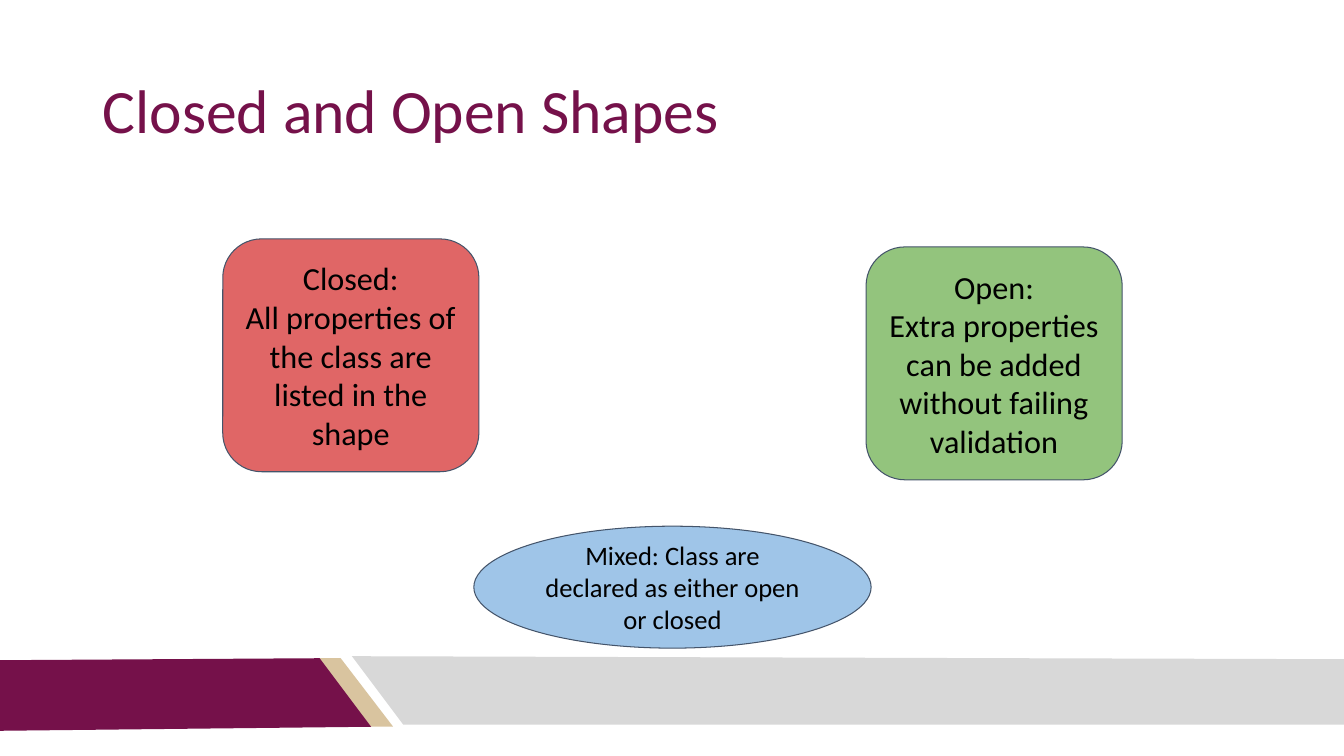
import pptx
import pptx.dml.color
import pptx.enum.shapes
import pptx.enum.text
import pptx.util

Inches = pptx.util.Inches
RGBColor = pptx.dml.color.RGBColor
MSO_SHAPE = pptx.enum.shapes.MSO_SHAPE
PP_ALIGN = pptx.enum.text.PP_ALIGN

MAROON = RGBColor(0x75, 0x11, 0x4A)
SAND = RGBColor(0xD9, 0xC4, 0x9F)
GREY = RGBColor(0xD8, 0xD8, 0xD8)
RED = RGBColor(0xE0, 0x66, 0x66)
GREEN = RGBColor(0x93, 0xC4, 0x7D)
BLUE = RGBColor(0x9F, 0xC5, 0xE8)
SLATE = RGBColor(0x44, 0x54, 0x6A)
BLACK = RGBColor(0, 0, 0)

FOOTER_BANDS = [
    (SAND, [(3.16, 6.53), (3.38, 6.53), (3.9, 7.21), (3.67, 7.21)]),
    (MAROON, [(-0.01, 6.55), (3.17, 6.53), (3.68, 7.21), (-0.01, 7.25)]),
    (GREY, [(3.49, 6.51), (13.34, 6.54), (13.37, 7.19), (4, 7.19)]),
]


def write_text(shape, *lines, size, color=BLACK, align=PP_ALIGN.CENTER, spacing=1.0):
    """Fill a shape with one vertically centred paragraph per line."""
    frame = shape.text_frame
    frame.word_wrap = True
    frame.vertical_anchor = pptx.enum.text.MSO_ANCHOR.MIDDLE
    frame.margin_left = frame.margin_right = Inches(0.1)
    frame.margin_top = frame.margin_bottom = Inches(0.1)
    frame.text = "\n".join(lines)
    for paragraph in frame.paragraphs:
        paragraph.alignment = align
        paragraph.line_spacing = spacing
        paragraph.font.name = "Calibri"
        paragraph.font.size = pptx.util.Pt(size)
        paragraph.font.color.rgb = color


def add_title(slide, title):
    heading = slide.shapes.add_textbox(
        Inches(0.92), Inches(0.4), Inches(11.5), Inches(1.45))
    write_text(heading, title, size=44, color=MAROON,
               align=PP_ALIGN.LEFT, spacing=0.9)


def add_footer_band(slide, color, corners):
    start, *others = [(Inches(x), Inches(y)) for x, y in corners]
    outline = slide.shapes.build_freeform(*start)
    outline.add_line_segments(others, close=True)
    band = outline.convert_to_shape()
    band.shadow.inherit = False
    band.fill.solid()
    band.fill.fore_color.rgb = color
    band.line.fill.background()


def add_concept(slide, preset, box, color, *lines, size):
    concept = slide.shapes.add_shape(preset, *map(Inches, box))
    concept.shadow.inherit = False
    concept.fill.solid()
    concept.fill.fore_color.rgb = color
    concept.line.color.rgb = SLATE
    concept.line.width = pptx.util.Pt(0.75)
    write_text(concept, *lines, size=size)


def main():
    deck = pptx.Presentation()
    deck.slide_width = Inches(13.33)
    deck.slide_height = Inches(7.5)
    slide = deck.slides.add_slide(deck.slide_layouts[6])

    for color, corners in FOOTER_BANDS:
        add_footer_band(slide, color, corners)
    add_title(slide, "Closed and Open Shapes")
    add_concept(slide, MSO_SHAPE.ROUNDED_RECTANGLE, (2.21, 2.37, 2.54, 2.31), RED,
                "Closed:", "All properties of the class are listed in the shape",
                size=23)
    add_concept(slide, MSO_SHAPE.ROUNDED_RECTANGLE, (8.59, 2.45, 2.54, 2.31), GREEN,
                "Open:", "Extra properties can be added without failing validation",
                size=23)
    add_concept(slide, MSO_SHAPE.OVAL, (4.7, 5.22, 3.94, 1.21), BLUE,
                "Mixed: Class are declared as either open or closed", size=19)

    deck.save("out.pptx")


if __name__ == "__main__":
    main()
